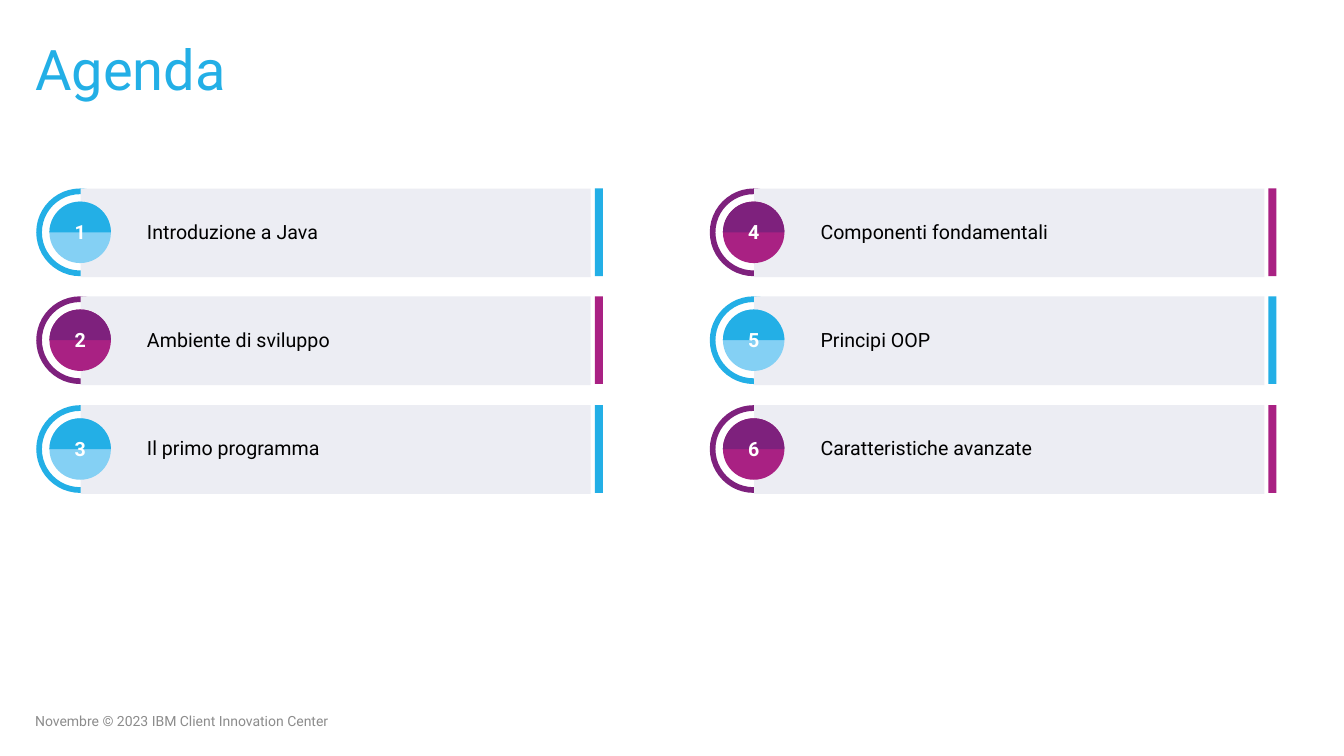
from pptx import Presentation
from pptx.dml.color import RGBColor
from pptx.enum.shapes import MSO_SHAPE
from pptx.enum.text import MSO_ANCHOR, PP_ALIGN

PX = 9144  # EMU per px, 100 px to the inch

THEME = {
    "font": "Roboto",
    "title": "23AFE6", "footer": "8C8C8C", "label": "000000",
    "number": "FFFFFF", "panel": "ECEDF3",
    "blue": {"ring": "23AFE6", "disc": "84D0F4", "bar": "23AFE6"},
    "purple": {"ring": "7E217D", "disc": "A92183", "bar": "A92183"},
    "title_size": 40, "body_size": 14, "footer_size": 10,
}


def write(sp, text, size, color, bold=False, align=PP_ALIGN.LEFT, anchor=MSO_ANCHOR.MIDDLE, spacing=None):
    tf = sp.text_frame
    tf.word_wrap = True
    tf.vertical_anchor = anchor
    p = tf.paragraphs[0]
    p.alignment = align
    p.line_spacing = spacing
    r = p.add_run()
    r.text = text
    r.font.name = THEME["font"]
    r.font.size = size * 12700
    r.font.bold = bold
    r.font.color.rgb = RGBColor.from_string(color)


def add_filled(kind, x, y, w, h, color, adjustments=()):
    sp = s.shapes.add_shape(kind, x * PX, y * PX, w * PX, h * PX)
    sp.shadow.inherit = False
    sp.fill.solid()
    sp.fill.fore_color.rgb = RGBColor.from_string(color)
    sp.line.fill.background()
    for i, value in enumerate(adjustments):
        sp.adjustments[i] = value


prs = Presentation()
prs.slide_width, prs.slide_height = 1333 * PX, 750 * PX
s = prs.slides.add_slide(prs.slide_layouts[5])

title = s.shapes.title
title.left, title.top, title.width, title.height = 25 * PX, 37 * PX, 455 * PX, 70 * PX
write(title, "Agenda", THEME["title_size"], THEME["title"], spacing=0.9)

footer = s.shapes.add_textbox(25 * PX, 695 * PX, 642 * PX, 40 * PX)
write(footer, "Novembre © 2023 IBM Client Innovation Center", THEME["footer_size"], THEME["footer"])

topics = [
    "Introduzione a Java", "Ambiente di sviluppo", "Il primo programma",
    "Componenti fondamentali", "Principi OOP", "Caratteristiche avanzate",
]
ROWS = 3

for i, topic in enumerate(topics):
    col, row = divmod(i, ROWS)
    x = 36 + col * 668
    y = 187 + row * 215 // 2
    colors = THEME["purple" if i % 2 else "blue"]

    add_filled(MSO_SHAPE.DONUT, x, y, 87, 87, colors["ring"], [0.065])
    add_filled(MSO_SHAPE.RECTANGLE, x + 44, y, 506, 88, THEME["panel"])
    add_filled(MSO_SHAPE.RECTANGLE, x + 554, y, 8, 87, colors["bar"])
    add_filled(MSO_SHAPE.OVAL, x + 13, y + 13, 61, 61, colors["disc"])
    # Chord angles are in 60000ths of a degree, divided by 100000: 180° to 0°
    add_filled(MSO_SHAPE.CHORD, x + 13, y + 13, 61, 61, colors["ring"], [108, 0])

    number = s.shapes.add_textbox((x + 18) * PX, (y + 21) * PX, 51 * PX, 44 * PX)
    write(number, str(i + 1), THEME["body_size"], THEME["number"], bold=True, align=PP_ALIGN.CENTER)
    label = s.shapes.add_textbox((x + 100) * PX, (y + 26) * PX, 450 * PX, 34 * PX)
    write(label, topic, THEME["body_size"], THEME["label"], anchor=MSO_ANCHOR.TOP)

prs.save("out.pptx")
